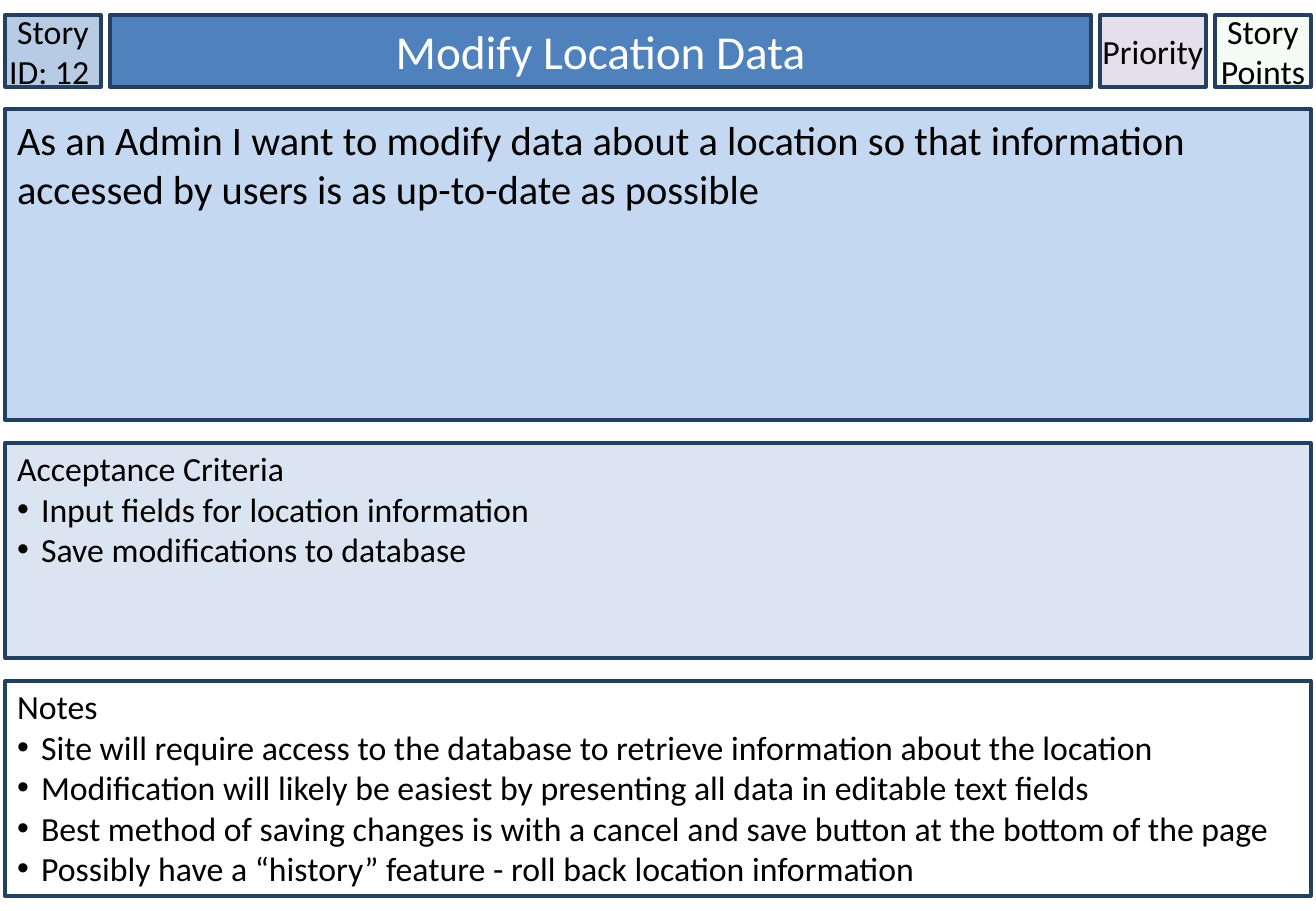
import dataclasses

import lxml.etree
import pptx
import pptx.dml.color
import pptx.enum.shapes
import pptx.enum.text
import pptx.oxml.ns
import pptx.util

EMU_PER_PX = 7526
SLIDE_SIZE = (1316, 911)
LEFT, WIDTH = 5, 1306
HEADER_TOP, HEADER_HEIGHT, HEADER_GAP = 15, 72, 9
PANEL_TOP, PANEL_GAP = 109, 23
BULLET_INDENT = 24
ANCHOR = pptx.enum.text.MSO_ANCHOR
ALIGN = pptx.enum.text.PP_ALIGN


@dataclasses.dataclass(frozen=True)
class Theme:
    font: str = "Calibri"
    title_size: int = 28
    story_size: int = 24
    text_size: int = 20
    line_width: int = 2
    outline: str = "244061"
    text: str = "000000"
    title_text: str = "FFFFFF"
    story_id: str = "B7CCE4"
    title: str = "4F81BD"
    priority: str = "E5DFEC"
    points: str = "CCF0CD"
    points_opacity: int = 20
    story: str = "C5D8F1"
    criteria: str = "DAE5F1"
    notes: str = "FFFFFF"


THEME = Theme()


def px(value):
    return pptx.util.Emu(value * EMU_PER_PX)


def rgb(value):
    return pptx.dml.color.RGBColor.from_string(value)


def add_box(slide):
    shape = slide.shapes.add_shape(pptx.enum.shapes.MSO_SHAPE.RECTANGLE, 0, 0, 0, 0)
    shape.shadow.inherit = False
    return shape


def style_box(shape, bounds, fill, anchor, side=12, top=6):
    shape.left, shape.top, shape.width, shape.height = map(px, bounds)
    shape.fill.solid()
    shape.fill.fore_color.rgb = rgb(fill)
    shape.line.color.rgb = rgb(THEME.outline)
    shape.line.width = pptx.util.Pt(THEME.line_width)
    frame = shape.text_frame
    frame.word_wrap = True
    frame.auto_size = pptx.enum.text.MSO_AUTO_SIZE.NONE
    frame.vertical_anchor = anchor
    frame.margin_left = frame.margin_right = px(side)
    frame.margin_top, frame.margin_bottom = px(top), px(6)


def set_opacity(shape, percent):
    color = next(shape.element.spPr.iter(pptx.oxml.ns.qn("a:srgbClr")))
    alpha = lxml.etree.SubElement(color, pptx.oxml.ns.qn("a:alpha"))
    alpha.set("val", str(percent * 1000))


def set_bullet(paragraph, bulleted):
    properties = paragraph._p.get_or_add_pPr()
    indent = px(BULLET_INDENT) if bulleted else 0
    properties.set("marL", str(indent))
    properties.set("indent", str(-indent))
    tag = "a:buChar" if bulleted else "a:buNone"
    bullet = lxml.etree.SubElement(properties, pptx.oxml.ns.qn(tag))
    if bulleted:
        bullet.set("char", "•")


def style_paragraph(paragraph, size, color=THEME.text, alignment=ALIGN.LEFT):
    paragraph.alignment = alignment
    paragraph.space_before = pptx.util.Pt(0)
    paragraph.font.name = THEME.font
    paragraph.font.size = pptx.util.Pt(size)
    paragraph.font.color.rgb = rgb(color)


def write_text(shape, text, size, color=THEME.text, alignment=ALIGN.LEFT):
    shape.text_frame.text = text
    style_paragraph(shape.text_frame.paragraphs[0], size, color, alignment)


def write_list(shape, heading, items):
    shape.text_frame.text = "\n".join([heading, *items])
    for index, paragraph in enumerate(shape.text_frame.paragraphs):
        set_bullet(paragraph, index > 0)
        style_paragraph(paragraph, THEME.text_size)


def build_header(slide, title):
    labels = [
        (add_box(slide), "Story ID: 12 ", 96, THEME.story_id),
        (title, "Modify Location Data", 981, THEME.title),
        (add_box(slide), "Priority", 106, THEME.priority),
        (add_box(slide), "Story Points", 96, THEME.points),
    ]
    left = LEFT
    for shape, text, width, fill in labels:
        is_title = shape is title
        bounds = (left, HEADER_TOP, width, HEADER_HEIGHT)
        style_box(shape, bounds, fill, ANCHOR.MIDDLE, side=12 if is_title else 0)
        size = THEME.title_size if is_title else THEME.text_size
        color = THEME.title_text if is_title else THEME.text
        write_text(shape, text, size, color, ALIGN.CENTER)
        left += width + HEADER_GAP
    set_opacity(shape, THEME.points_opacity)


def build_panels(slide, criteria, notes):
    story = add_box(slide)
    panels = [
        (story, 311, THEME.story, 6),
        (criteria, 215, THEME.criteria, 5),
        (notes, 215, THEME.notes, 5),
    ]
    top = PANEL_TOP
    for shape, height, fill, margin in panels:
        style_box(shape, (LEFT, top, WIDTH, height), fill, ANCHOR.TOP, top=margin)
        top += height + PANEL_GAP
    write_text(
        story,
        "As an Admin I want to modify data about a location so that information "
        "accessed by users is as up-to-date as possible",
        THEME.story_size,
    )
    write_list(criteria, "Acceptance Criteria", [
        "Input fields for location information",
        "Save modifications to database",
    ])
    write_list(notes, "Notes", [
        "Site will require access to the database to retrieve information about the location",
        "Modification will likely be easiest by presenting all data in editable text fields",
        "Best method of saving changes is with a cancel and save button at the bottom of the page",
        "Possibly have a “history” feature - roll back location information",
    ])


def main():
    presentation = pptx.Presentation()
    presentation.slide_width, presentation.slide_height = map(px, SLIDE_SIZE)
    layout = presentation.slide_layouts.get_by_name("Two Content")
    slide = presentation.slides.add_slide(layout)
    title, criteria, notes = slide.placeholders
    build_header(slide, title)
    build_panels(slide, criteria, notes)
    presentation.save("out.pptx")


if __name__ == "__main__":
    main()
